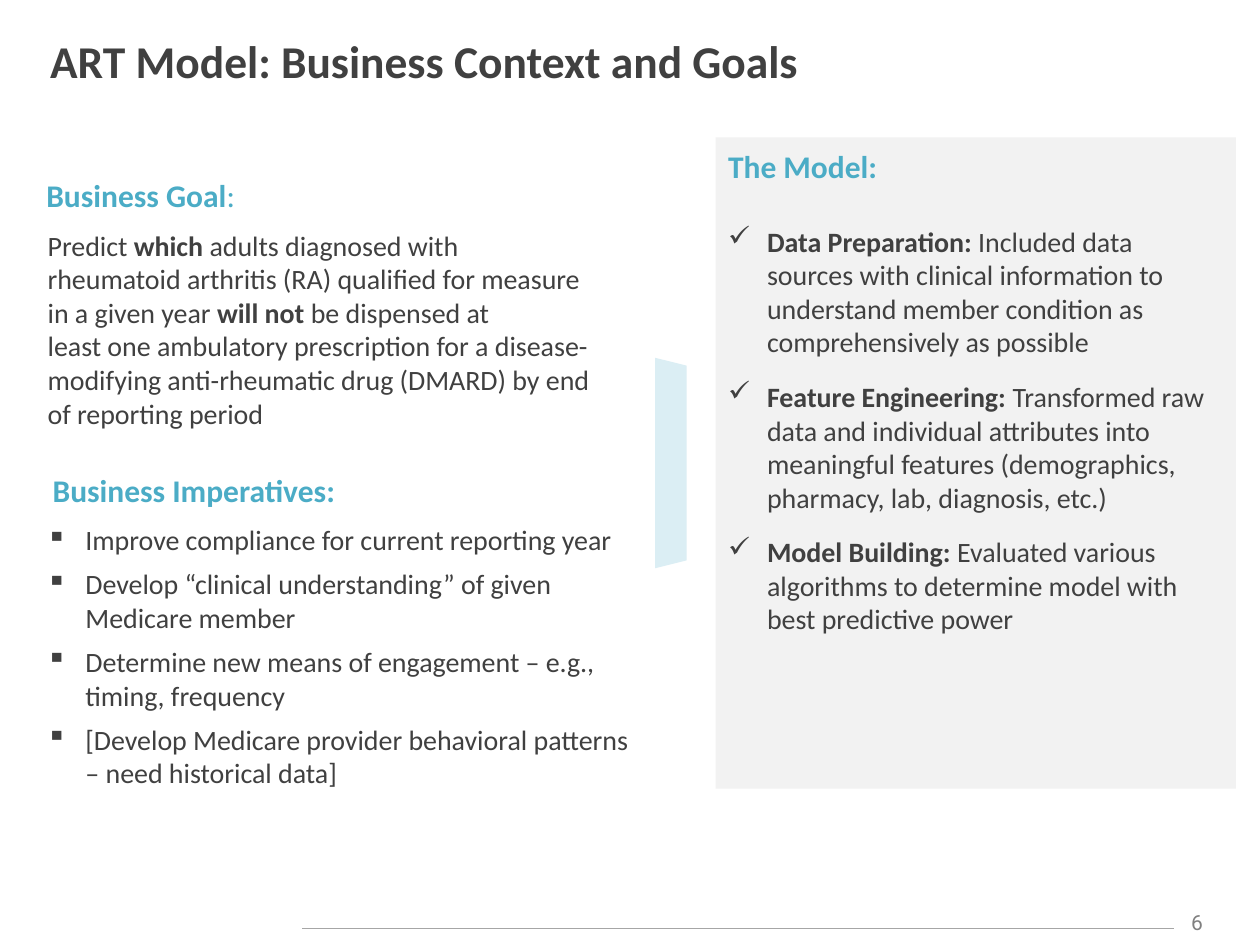
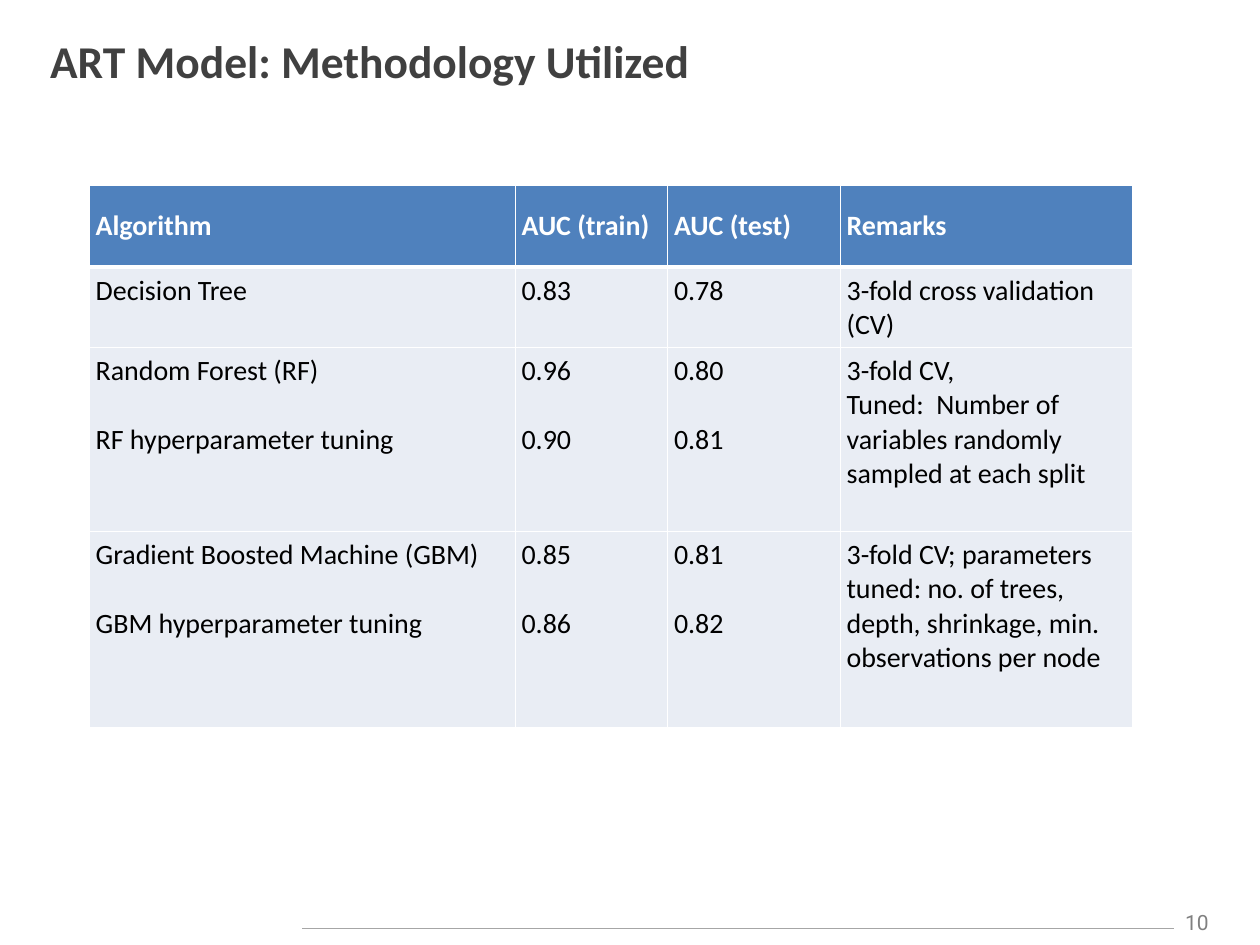
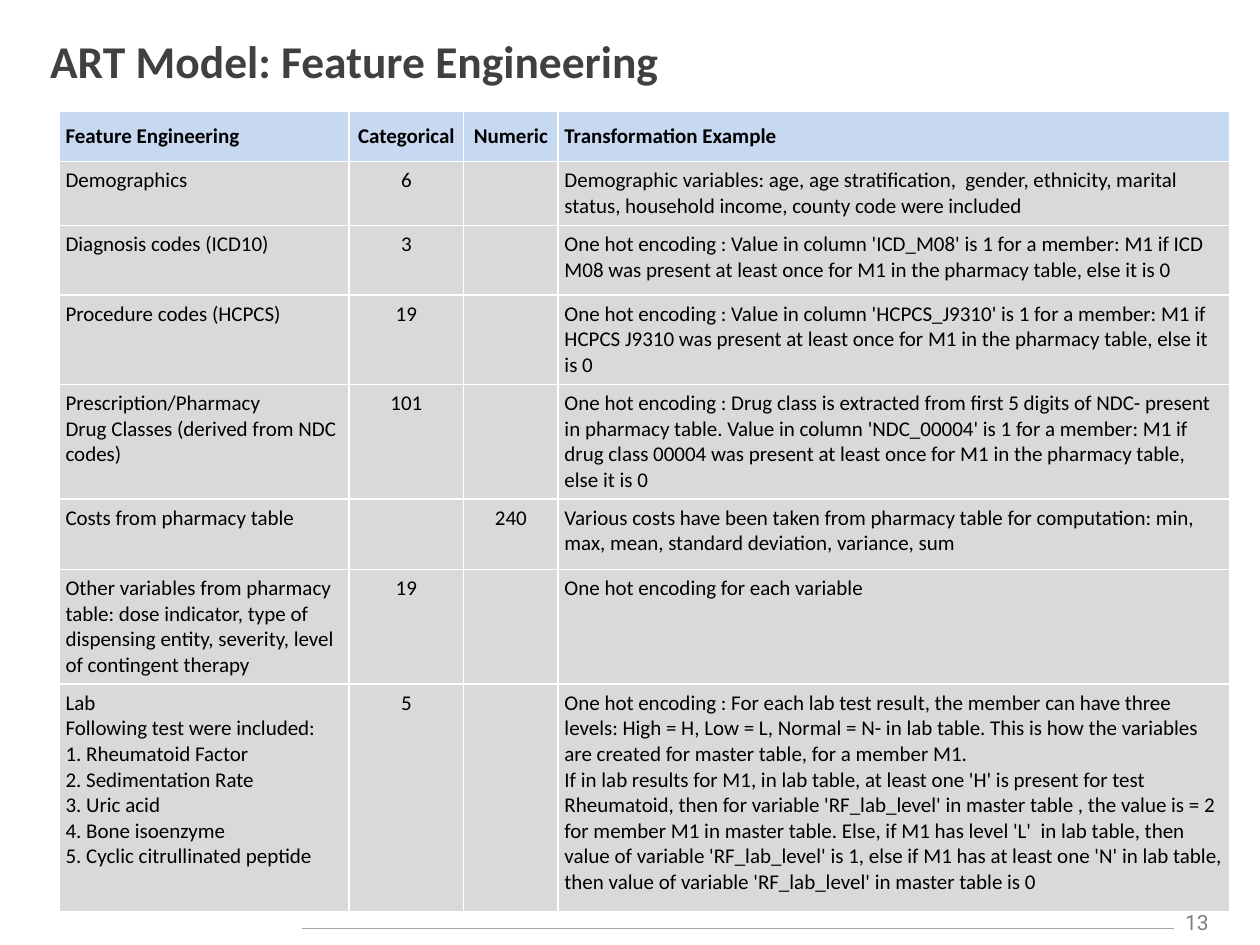
from dataclasses import dataclass

from lxml.etree import SubElement
from pptx import Presentation
from pptx.dml.color import RGBColor
from pptx.enum.shapes import MSO_CONNECTOR, MSO_SHAPE
from pptx.enum.text import MSO_ANCHOR, PP_ALIGN
from pptx.oxml.ns import qn
from pptx.util import Inches, Pt

WHITE = RGBColor(0xFF, 0xFF, 0xFF)
BLACK = RGBColor(0x00, 0x00, 0x00)
CHARCOAL = RGBColor(0x40, 0x40, 0x40)
GRAY = RGBColor(0x80, 0x80, 0x80)
RULE_GRAY = RGBColor(0xA6, 0xA6, 0xA6)
PANEL_GRAY = RGBColor(0xF2, 0xF2, 0xF2)
CELL_GRAY = RGBColor(0xD9, 0xD9, 0xD9)
TEAL = RGBColor(0x4B, 0xAC, 0xC6)
PALE_TEAL = RGBColor(0xDB, 0xEE, 0xF4)
HEADER_BLUE = RGBColor(0x4F, 0x81, 0xBD)
CELL_BLUE = RGBColor(0xE9, 0xED, 0xF4)
PALE_BLUE = RGBColor(0xC6, 0xD9, 0xF1)

GRID = Inches(0.1)
CELL_MARGIN = Inches(0.05)
HANGING = Inches(0.31)


@dataclass
class Box:
    column: float
    row: float
    columns: float
    rows: float

    def inner(self, column, row, columns, rows):
        return Box(self.column + column, self.row + row, columns, rows)

    def lengths(self):
        return [round(size * GRID) for size in (self.column, self.row, self.columns, self.rows)]


PAGE = Box(0, 0, 100, 75)


def write_text(frame, paragraphs, size=16, color=CHARCOAL, font="Calibri", bold=False,
               align=PP_ALIGN.LEFT, anchor=MSO_ANCHOR.TOP, before=0, bullet=None):
    frame.vertical_anchor = anchor
    for index, text in enumerate(paragraphs):
        para = frame.paragraphs[0] if index == 0 else frame.add_paragraph()
        para.alignment = align
        para.space_before = Pt(before)
        if bullet:
            properties = para._p.get_or_add_pPr()
            properties.set("marL", str(HANGING))
            properties.set("indent", str(-HANGING))
            SubElement(properties, qn("a:buChar")).set("char", bullet)
        for line_number, line in enumerate(text.split("\n")):
            if line_number:
                para.add_line_break()
            for piece_number, piece in enumerate(line.split("**")):
                if not piece:
                    continue
                span = para.add_run()
                span.text = piece
                span.font.name = font
                span.font.size = Pt(size)
                span.font.bold = bold or piece_number % 2 == 1
                span.font.color.rgb = color


def add_text(page, box, paragraphs, wrap=True, **text_format):
    frame = page.shapes.add_textbox(*box.lengths()).text_frame
    frame.word_wrap = wrap
    write_text(frame, paragraphs, **text_format)


def add_block(page, preset, box, color):
    block = page.shapes.add_shape(preset, *box.lengths())
    block.shadow.inherit = False
    block.fill.solid()
    block.fill.fore_color.rgb = color
    block.line.fill.background()
    return block


def add_footer(page, box, number):
    left, top, width, _ = box.lengths()
    rule = page.shapes.add_connector(MSO_CONNECTOR.STRAIGHT, left, top, left + width, top)
    rule.line.color.rgb = RULE_GRAY
    rule.line.width = Pt(0.75)
    SubElement(rule._element.spPr, qn("a:effectLst"))
    add_text(page, box.inner(68.5, -2, 5, 3), [str(number)], size=12, font="Roboto",
             color=GRAY, align=PP_ALIGN.CENTER)


def add_page(deck, title, number):
    page = deck.slides.add_slide(deck.slide_layouts[6])
    add_footer(page, PAGE.inner(24, 73.7, 69.2, 0), number)
    add_text(page, PAGE.inner(3, 1.3, 90, 7), [title], size=26, bold=True, anchor=MSO_ANCHOR.MIDDLE)
    return page


def add_heading(page, box, text):
    add_text(page, box, [text], wrap=False, size=18, color=TEAL)


def add_business_column(page, box):
    add_text(page, box.inner(0.1, 4, 45.3, 17.2), [
        "Predict\u00a0**which\u00a0**adults diagnosed\u00a0with rheumatoid arthritis (RA)\u00a0qualified"
        "\u00a0for measure in a given\u00a0year\u00a0**will not\u00a0**be dispensed at least\u00a0one "
        "ambulatory prescription for a\u00a0disease-modifying anti-rheumatic\u00a0drug (DMARD) "
        "by end of\u00a0reporting period",
    ], anchor=MSO_ANCHOR.MIDDLE)
    add_text(page, box.inner(0, 27.5, 48.6, 22.4), [
        "Improve compliance for current reporting year",
        "Develop “clinical understanding” of given Medicare member",
        "Determine new means of engagement – e.g., timing, frequency",
        "[Develop Medicare provider behavioral patterns – need historical data]",
    ], before=6, bullet="▪")
    add_heading(page, box.inner(0, 0, 17.7, 4), "**Business Goal**:")
    add_heading(page, box.inner(0.5, 23.4, 24.6, 4), "**Business Imperatives:**")


def add_model_panel(page, box):
    add_block(page, MSO_SHAPE.RECTANGLE, box, PANEL_GRAY)
    add_text(page, box.inner(0, 6.4, box.columns, 38.4), [
        "**Data Preparation: **Included data sources with clinical information to understand "
        "member condition as comprehensively as possible",
        "**Feature Engineering: **Transformed raw data and individual attributes into meaningful "
        "features (demographics, pharmacy, lab, diagnosis, etc.)",
        "**Model Building: **Evaluated various algorithms to determine model with best "
        "predictive power",
    ], before=12, bullet="✓")
    add_heading(page, box.inner(0, 0.3, 13.9, 4), "**The Model:**")


def set_borders(cell, top, bottom):
    properties = cell._tc.get_or_add_tcPr()
    for side, width in (("L", 1), ("R", 1), ("T", top), ("B", bottom)):
        border = SubElement(properties, qn("a:ln" + side), w=str(Pt(width)))
        fill = SubElement(border, qn("a:solidFill"))
        SubElement(fill, qn("a:srgbClr")).set("val", str(WHITE))


def add_grid(page, box, widths, heights, rows, header_fill, body_fill, header_color=BLACK,
             header_rule=1, size=16, before=0, centred=()):
    grid = page.shapes.add_table(len(rows), len(widths), *box.lengths()).table
    grid.horz_banding = False
    for column, width in zip(grid.columns, widths):
        column.width = round(width * GRID)
    for row, height in zip(grid.rows, heights):
        row.height = round(height * GRID)
    for row_number, values in enumerate(rows):
        header = row_number == 0
        for column_number, value in enumerate(values):
            cell = grid.cell(row_number, column_number)
            cell.margin_left = cell.margin_right = CELL_MARGIN
            cell.margin_top = cell.margin_bottom = CELL_MARGIN
            set_borders(cell, header_rule if row_number == 1 else 1, header_rule if header else 1)
            cell.fill.solid()
            cell.fill.fore_color.rgb = header_fill if header else body_fill
            write_text(cell.text_frame, value.split("\v"), size=size, bold=header, before=before,
                       color=header_color if header else BLACK,
                       align=PP_ALIGN.CENTER if column_number in centred else PP_ALIGN.LEFT)
            cell.vertical_anchor = MSO_ANCHOR.MIDDLE if header else MSO_ANCHOR.TOP


def build_context(deck):
    page = add_page(deck, "ART Model: Business Context and Goals", 6)
    add_model_panel(page, PAGE.inner(56.8, 10.9, 41.3, 51.7))
    add_business_column(page, PAGE.inner(2.7, 13.5, 48.6, 49.9))
    pointer = add_block(page, MSO_SHAPE.TRAPEZOID, PAGE.inner(44.9, 35.5, 16.7, 2.5), PALE_TEAL)
    pointer.rotation = 90


def build_methodology(deck):
    page = add_page(deck, "ART Model: Methodology Utilized", 10)
    rows = [
        ("Algorithm", "AUC (train)", "AUC (test)", "Remarks"),
        ("Decision Tree", "0.83", "0.78", "3-fold cross validation (CV)"),
        ("Random Forest (RF)\vRF hyperparameter tuning", "0.96\v0.90", "0.80\v0.81",
         "3-fold CV,\nTuned:  Number of variables randomly sampled at each split"),
        ("Gradient Boosted Machine (GBM)\vGBM hyperparameter tuning", "0.85\v0.86", "0.81\v0.82",
         "3-fold CV; parameters tuned: no. of trees, depth, shrinkage, min. observations per node"),
    ]
    add_grid(page, PAGE.inner(7.1, 14.7, 82.8, 43.1), (33.8, 12.1, 13.7, 23.2),
             (6.5, 6.4, 14.6, 15.6), rows, HEADER_BLUE, CELL_BLUE, header_color=WHITE,
             header_rule=3, before=19.5)


def build_features(deck):
    page = add_page(deck, "ART Model: Feature Engineering", 13)
    encoding = "One hot encoding : "
    member = "is 1 for a member: M1 if "
    presence = "was present at least once for M1 in the pharmacy table, else it is 0"
    rows = [
        ("Feature Engineering", "Categorical", "Numeric", "Transformation Example"),
        ("Demographics", "6", "",
         "Demographic variables: age, age stratification,  gender, ethnicity, marital status, "
         "household income, county code were included"),
        ("Diagnosis codes (ICD10)", "3", "",
         f"{encoding}Value in column 'ICD_M08' {member}ICD M08 {presence}"),
        ("Procedure codes (HCPCS)", "19", "",
         f"{encoding}Value in column 'HCPCS_J9310' {member}HCPCS J9310 {presence}"),
        ("Prescription/Pharmacy\nDrug Classes (derived from NDC codes)", "101", "",
         f"{encoding}Drug class is extracted from first 5 digits of NDC- present in pharmacy "
         f"table. Value in column 'NDC_00004' {member}drug class 00004 {presence}"),
        ("Costs from pharmacy table", "", "240",
         "Various costs have been taken from pharmacy table for computation: min, max, mean, "
         "standard deviation, variance, sum"),
        ("Other variables from pharmacy table: dose indicator, type of dispensing entity, "
         "severity, level of contingent therapy", "19", "", "One hot encoding for each variable"),
        ("Lab\nFollowing test were included:\n1. Rheumatoid Factor\n2. Sedimentation Rate\n"
         "3. Uric acid\n4. Bone isoenzyme\n5. Cyclic citrullinated peptide", "5", "",
         f"{encoding}For each lab test result, the member can have three levels: High = H, "
         "Low = L, Normal = N- in lab table. This is how the variables are created for master "
         "table, for a member M1.\nIf in lab results for M1, in lab table, at least one 'H' is "
         "present for test Rheumatoid, then for variable 'RF_lab_level' in master table , the "
         "value is = 2 for member M1 in master table. Else, if M1 has level 'L'  in lab table, "
         "then value of variable 'RF_lab_level' is 1, else if M1 has at least one 'N' in lab "
         "table, then value of variable 'RF_lab_level' in master table is 0"),
    ]
    add_grid(page, PAGE.inner(4.7, 8.8, 92.9, 63.6), (23, 9.1, 7.5, 53.3),
             (4, 5.1, 5.5, 7.1, 9.1, 5.6, 9.1, 18.1), rows, PALE_BLUE, CELL_GRAY,
             size=12, centred=(1, 2))


deck = Presentation()
deck.slide_width = PAGE.columns * GRID
deck.slide_height = PAGE.rows * GRID
build_context(deck)
build_methodology(deck)
build_features(deck)
deck.save("out.pptx")
